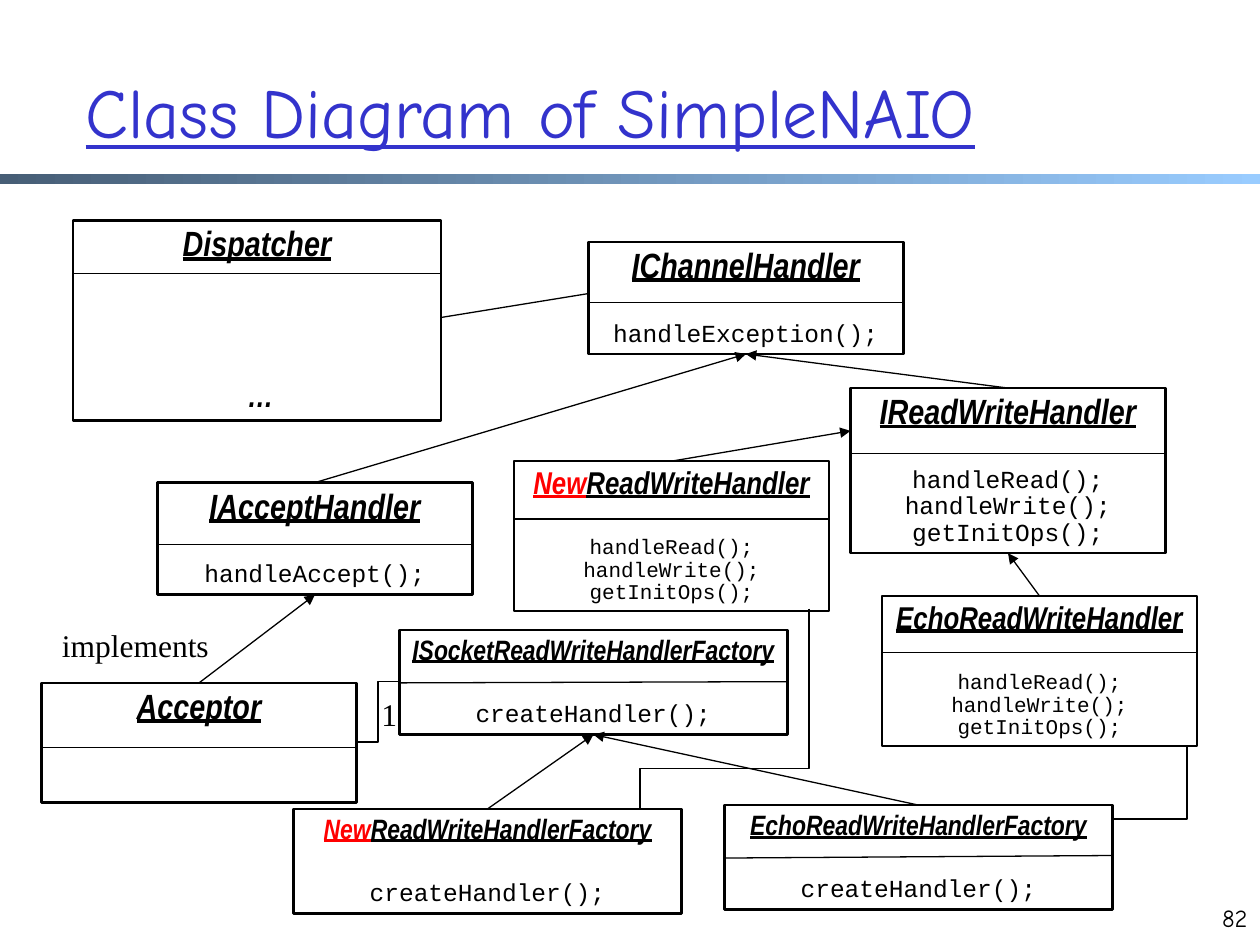
from dataclasses import dataclass
from typing import NamedTuple, Optional

from lxml import etree
from pptx import Presentation
from pptx import util as u
from pptx.dml.color import RGBColor
from pptx.enum import shapes, text
from pptx.oxml.ns import qn

PX = u.Inches(1) // 100  # one px is a hundredth of an inch


@dataclass(frozen=True)
class Theme:
    title_color: RGBColor = RGBColor(0x33, 0x33, 0xCC)
    ink: RGBColor = RGBColor(0, 0, 0)
    paper: RGBColor = RGBColor(255, 255, 255)
    accent: RGBColor = RGBColor(255, 0, 0)
    bar_start: RGBColor = RGBColor(0x47, 0x5E, 0x76)
    bar_end: RGBColor = RGBColor(0x99, 0xCC, 0xFF)
    title_font: str = "Comic Neue"
    class_font: str = "Arial Narrow"
    code_font: str = "Courier New"
    label_font: str = "Times New Roman"
    title_size: int = 40
    label_size: int = 18
    number_size: int = 14
    box_line: float = 1.5
    thin_line: float = 0.75
    line_spacing: float = 0.9


THEME = Theme()


class Point(NamedTuple):
    x: int
    y: int


@dataclass(frozen=True)
class ClassBox:
    name: str
    left: int
    top: int
    width: int
    height: int
    methods: tuple[str, ...] = ()
    divider: Optional[int] = None
    divider_rise: int = 0
    prefix: str = ""
    name_size: int = 20
    method_size: int = 14
    gap: int = 20
    plain_methods: bool = True

    @property
    def top_center(self) -> Point:
        return Point(self.left + self.width // 2, self.top)

    @property
    def bottom_center(self) -> Point:
        return Point(self.left + self.width // 2, self.top + self.height)


# Classes and interfaces
DISPATCHER = ClassBox("Dispatcher", 58, 175, 292, 159, (" …",), 217,
                      method_size=18, gap=66, plain_methods=False)
CHANNEL = ClassBox("IChannelHandler", 467, 192, 250, 89, ("handleException();",), 240)
ACCEPT = ClassBox("IAcceptHandler", 125, 383, 250, 89, ("handleAccept();",), 432)
READ_WRITE_METHODS = ("handleRead();", "handleWrite();", "getInitOps();")
READ_WRITE = ClassBox("IReadWriteHandler", 675, 308, 250, 131, READ_WRITE_METHODS, 360)
ACCEPTOR = ClassBox("Acceptor", 33, 542, 250, 95, divider=593)
ECHO = ClassBox("EchoReadWriteHandler", 700, 473, 250, 119, READ_WRITE_METHODS, 518,
                name_size=18, method_size=12)
NEW = ClassBox("ReadWriteHandler", 408, 366, 250, 119, READ_WRITE_METHODS, 412,
               prefix="New", name_size=18, method_size=12)
CREATE = ("createHandler();",)
FACTORY = ClassBox("ISocketReadWriteHandlerFactory", 317, 500, 308, 83, CREATE, 542, 1,
                   name_size=16)
ECHO_FACTORY = ClassBox("EchoReadWriteHandlerFactory", 575, 639, 308, 83, CREATE, 681, 2,
                        name_size=16)
NEW_FACTORY = ClassBox("ReadWriteHandlerFactory", 233, 642, 308, 83, CREATE,
                       prefix="New", name_size=16)
BOXES = (DISPATCHER, CHANNEL, ACCEPT, READ_WRITE, ACCEPTOR, ECHO, FACTORY,
         ECHO_FACTORY, NEW, NEW_FACTORY)

# Arrows from each subtype to its parent
INHERITANCE = (
    (ACCEPT.top_center, CHANNEL.bottom_center),
    (READ_WRITE.top_center, CHANNEL.bottom_center),
    (ACCEPTOR.top_center, ACCEPT.bottom_center),
    (ECHO.top_center, READ_WRITE.bottom_center),
    (NEW.top_center, Point(READ_WRITE.left, 342)),
    (ECHO_FACTORY.top_center, FACTORY.bottom_center),
    (NEW_FACTORY.top_center, FACTORY.bottom_center),
)


def style_font(font, name: str, size: float, color: RGBColor, heading: bool = False) -> None:
    font.name, font.size, font.color.rgb = name, u.Pt(size), color
    font.bold = font.italic = heading


def add_line(slide, start: Point, end: Point, arrow: bool = False,
             kind=shapes.MSO_CONNECTOR.STRAIGHT):
    connector = slide.shapes.add_connector(kind, *(round(v * PX) for v in (*start, *end)))
    connector.line.color.rgb = THEME.ink
    connector.line.width = u.Pt(THEME.thin_line)
    properties = connector._element.spPr
    if arrow:
        etree.SubElement(connector.line._get_or_add_ln(), qn("a:tailEnd"),
                         type="triangle", w="med", len="med")
    etree.SubElement(properties, qn("a:effectLst"))
    return connector


def add_vertical_elbow(slide, start: Point, end: Point, bend: int = 50) -> None:
    """Elbow that leaves and arrives vertically: a quarter-turned connector."""
    middle_x, middle_y = (start.x + end.x) / 2, (start.y + end.y) / 2
    half_x, half_y = (end.y - start.y) / 2, (start.x - end.x) / 2
    connector = add_line(slide, Point(middle_x - half_x, middle_y - half_y),
                         Point(middle_x + half_x, middle_y + half_y),
                         kind=shapes.MSO_CONNECTOR.ELBOW)
    properties = connector._element.spPr
    properties.find(qn("a:xfrm")).set("rot", "5400000")
    guides = properties.find(qn("a:prstGeom")).find(qn("a:avLst"))
    etree.SubElement(guides, qn("a:gd"), name="adj1", fmla=f"val {bend * 1000}")


def add_class_box(slide, box: ClassBox) -> None:
    shape = slide.shapes.add_shape(shapes.MSO_SHAPE.RECTANGLE, box.left * PX, box.top * PX,
                                   box.width * PX, box.height * PX)
    shape.shadow.inherit = False
    shape.fill.solid()
    shape.fill.fore_color.rgb = THEME.paper
    shape.line.color.rgb = THEME.ink
    shape.line.width = u.Pt(THEME.box_line)
    frame = shape.text_frame
    frame.word_wrap = True
    frame.vertical_anchor = text.MSO_ANCHOR.TOP
    frame.text = "\n".join((box.prefix, *box.methods))
    heading, *methods = frame.paragraphs
    for paragraph in frame.paragraphs:
        paragraph.alignment = text.PP_ALIGN.CENTER
        paragraph.line_spacing = THEME.line_spacing
    heading.add_run().text = box.name
    for run in heading.runs:
        color = THEME.accent if run.text == box.prefix else THEME.ink
        style_font(run.font, THEME.class_font, box.name_size, color, heading=True)
        run.font.underline = True
    font_name = THEME.code_font if box.plain_methods else THEME.class_font
    for paragraph in methods:
        style_font(paragraph.runs[0].font, font_name, box.method_size, THEME.ink,
                   heading=not box.plain_methods)
    if methods:
        methods[0].space_before = u.Pt(box.gap)
    if box.divider is not None:
        add_line(slide, Point(box.left, box.divider),
                 Point(box.left + box.width, box.divider - box.divider_rise))


def add_label(slide, words: str, left: int, top: int, width: int, height: int,
              font: str, size: int, alignment) -> None:
    frame = slide.shapes.add_textbox(left * PX, top * PX, width * PX, height * PX).text_frame
    frame.word_wrap = alignment == text.PP_ALIGN.RIGHT
    frame.text = words
    frame.paragraphs[0].alignment = alignment
    style_font(frame.paragraphs[0].runs[0].font, font, size, THEME.ink)


def main() -> None:
    presentation = Presentation()
    presentation.slide_width, presentation.slide_height = 1000 * PX, 750 * PX
    slide = presentation.slides.add_slide(presentation.slide_layouts[5])

    # Title and gradient bar
    title = slide.shapes.title
    title.left, title.top, title.width, title.height = (v * PX for v in (58, 25, 850, 125))
    title.text_frame.text = "Class Diagram of SimpleNAIO"
    title.text_frame.vertical_anchor = text.MSO_ANCHOR.MIDDLE
    heading = title.text_frame.paragraphs[0]
    heading.alignment = text.PP_ALIGN.LEFT
    style_font(heading.runs[0].font, THEME.title_font, THEME.title_size, THEME.title_color)
    heading.runs[0].font.underline = True
    bar = slide.shapes.add_shape(shapes.MSO_SHAPE.RECTANGLE, 0, 138 * PX, 1000 * PX, 8 * PX)
    bar.shadow.inherit = False
    bar.line.fill.background()
    bar.fill.gradient()
    bar.fill.gradient_angle = 0
    for stop, color in zip(bar.fill.gradient_stops, (THEME.bar_start, THEME.bar_end)):
        stop.color.rgb = color

    # Class boxes and their relations
    for box in BOXES:
        add_class_box(slide, box)
    for child, parent in INHERITANCE:
        add_line(slide, child, parent, arrow=True)
    add_line(slide, Point(350, 252), Point(467, 233))
    add_line(slide, Point(283, 589), Point(317, 541), kind=shapes.MSO_CONNECTOR.ELBOW)
    add_vertical_elbow(slide, Point(883, 708), Point(942, 592))
    add_vertical_elbow(slide, Point(642, 483), Point(508, 642), bend=80)

    # Relation labels and slide number
    center, right = text.PP_ALIGN.CENTER, text.PP_ALIGN.RIGHT
    add_label(slide, "implements", 33, 492, 149, 40, THEME.label_font, THEME.label_size, center)
    add_label(slide, "1", 292, 547, 34, 40, THEME.label_font, THEME.label_size, center)
    add_label(slide, "82", 950, 712, 50, 50, THEME.title_font, THEME.number_size, right)
    presentation.save("out.pptx")


if __name__ == "__main__":
    main()
